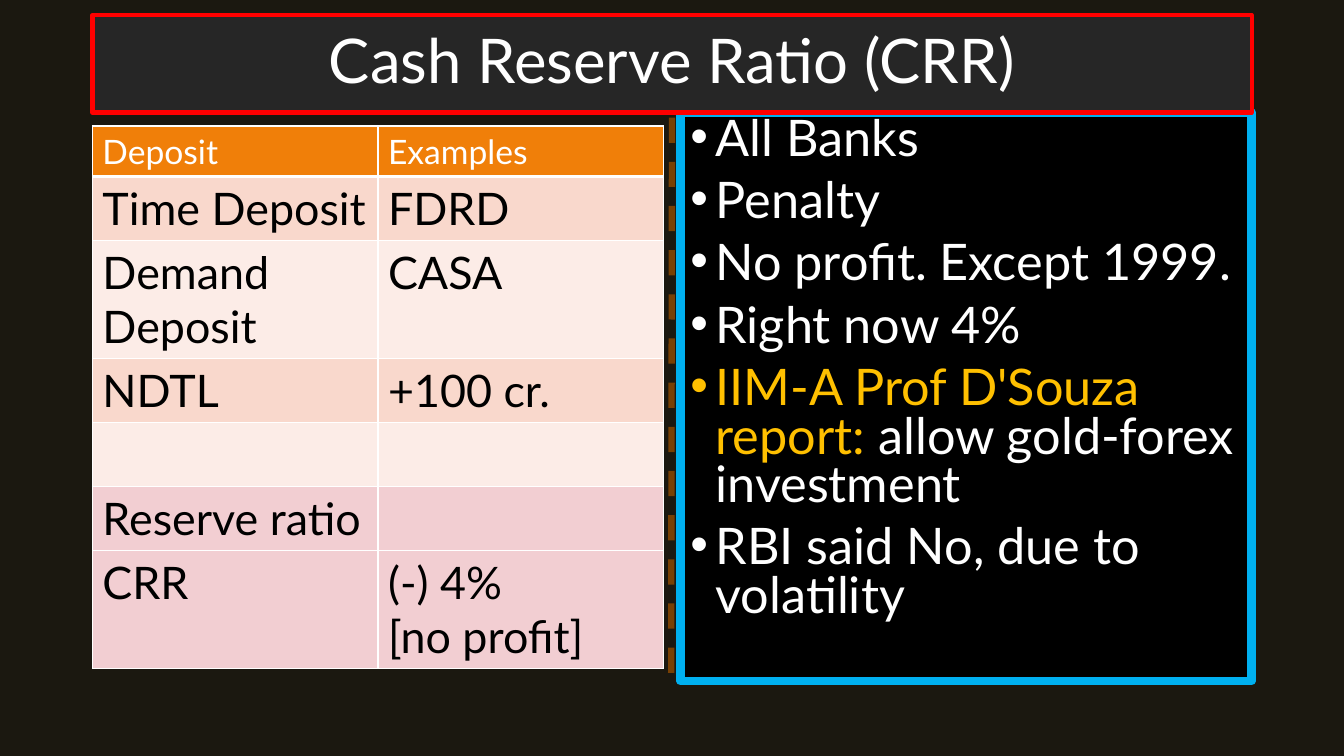
import pptx
import pptx.dml.color
import pptx.enum.dml
import pptx.enum.shapes
import pptx.enum.text
import pptx.oxml
import pptx.oxml.ns
import pptx.util
from lxml import etree

RGB = pptx.dml.color.RGBColor
KIND = pptx.enum.shapes.MSO_SHAPE
ANCHOR = pptx.enum.text.MSO_ANCHOR
qn = pptx.oxml.ns.qn

BACK = RGB(0x1B, 0x18, 0x10)
BROWN = RGB(0x78, 0x40, 0x04)
WHITE = RGB(0xFF, 0xFF, 0xFF)
BLACK = RGB(0x00, 0x00, 0x00)
CYAN = RGB(0x00, 0xB0, 0xF0)
GOLD = RGB(0xFF, 0xC0, 0x00)
RED = RGB(0xFF, 0x00, 0x00)
GREY = RGB(0x26, 0x26, 0x26)
ORANGE = RGB(0xF0, 0x7F, 0x09)
PEACH = RGB(0xF9, 0xD8, 0xCC)
CREAM = RGB(0xFC, 0xEC, 0xE7)
PINK = RGB(0xF2, 0xCE, 0xD2)

FACE = "Lato"
WIDE = pptx.util.Inches(13.33)
HIGH = pptx.util.Inches(7.5)
COLS, ROWS = 160, 90
LEFT, HALF = 11, 34

DATA = [
    (6, ORANGE, "Deposit", "Examples"),
    (7.6, PEACH, "Time Deposit", "FDRD"),
    (14, CREAM, "Demand Deposit", "CASA"),
    (7.6, PEACH, "NDTL", "+100 cr."),
    (7.6, CREAM, "", ""),
    (7.6, PINK, "Reserve ratio", ""),
    (14, PINK, "CRR", "(-) 4%\n[no profit]"),
]
POINTS = [
    [("All Banks", WHITE)],
    [("Penalty", WHITE)],
    [("No profit. Except 1999.", WHITE)],
    [("Right now 4%", WHITE)],
    [("IIM-A Prof D'Souza report: ", GOLD), ("allow gold-forex investment", WHITE)],
    [("RBI said No, due to volatility", WHITE)],
]


def col(num):
    """Turn grid columns into a length."""
    return round(WIDE * num / COLS)


def row(num):
    """Turn grid rows into a length."""
    return round(HIGH * num / ROWS)


def style(run, size, tint):
    """Set the font of a run."""
    run.font.name = FACE
    run.font.size = pptx.util.Pt(size)
    run.font.bold = False
    run.font.color.rgb = tint


def add_box(slide, kind, place, fill, edge, width):
    """Draw a filled box with an edge and return it."""
    x, y, w, h = place
    box = slide.shapes.add_shape(kind, col(x), row(y), col(w), row(h))
    box.shadow.inherit = False
    box.fill.solid()
    box.fill.fore_color.rgb = fill
    box.line.color.rgb = edge
    box.line.width = pptx.util.Pt(width)
    line = box.line._get_or_add_ln()
    etree.SubElement(line, qn("a:round"))
    box.text_frame.word_wrap = True
    return box


def add_rule(slide, start, end):
    """Draw the dashed line between the halves."""
    rule = slide.shapes.add_connector(
        pptx.enum.shapes.MSO_CONNECTOR.STRAIGHT,
        col(start[0]), row(start[1]), col(end[0]), row(end[1]))
    rule.line.color.rgb = BROWN
    rule.line.width = pptx.util.Pt(4.5)
    rule.line.dash_style = pptx.enum.dml.MSO_LINE.DASH
    etree.SubElement(rule._element.spPr, qn("a:effectLst"))


def add_edge(cell, side, width):
    """Give one side of a cell a white line."""
    line = etree.SubElement(cell._tc.get_or_add_tcPr(), qn("a:ln" + side),
                            w=str(pptx.util.Pt(width)))
    fill = etree.SubElement(line, qn("a:solidFill"))
    etree.SubElement(fill, qn("a:srgbClr"), val=str(WHITE))


def fill_cell(cell, text, fill, head):
    """Set the edges, fill and text of a cell."""
    for side in "LRTB":
        add_edge(cell, side, 3 if head and side == "B" else 1)
    cell.fill.solid()
    cell.fill.fore_color.rgb = fill
    cell.text_frame.text = text
    for para in cell.text_frame.paragraphs:
        for run in para.runs:
            style(run, 24 if head else 32, WHITE if head else BLACK)


def add_grid(slide):
    """Build the deposit table."""
    total = sum(item[0] for item in DATA)
    grid = slide.shapes.add_table(len(DATA), 2, col(LEFT), row(15),
                                  col(2 * HALF), row(total)).table
    for part in grid.columns:
        part.width = col(HALF)
    for r, (tall, fill, *texts) in enumerate(DATA):
        grid.rows[r].height = row(tall)
        for c, text in enumerate(texts):
            fill_cell(grid.cell(r, c), text, fill, r == 0)


def add_point(para, parts, first):
    """Write one bullet made of tinted parts."""
    props = para._p.get_or_add_pPr()
    props.set("marL", str(pptx.util.Inches(0.25)))
    props.set("indent", str(pptx.util.Inches(-0.25)))
    font = etree.SubElement(props, qn("a:buFont"))
    font.set("typeface", "Arial")
    etree.SubElement(props, qn("a:buChar"), char="•")
    para.alignment = pptx.enum.text.PP_ALIGN.LEFT
    para.line_spacing = 0.8
    para.space_before = pptx.util.Pt(0 if first else 10)
    for text, tint in parts:
        run = para.add_run()
        run.text = text
        style(run, 36, tint)


def add_points(slide):
    """Build the panel of bullets."""
    box = add_box(slide, KIND.RECTANGLE, (81, 13.4, 68, 67.7), BLACK, CYAN, 6)
    frame = box.text_frame
    frame.vertical_anchor = ANCHOR.TOP
    for num, parts in enumerate(POINTS):
        para = frame.add_paragraph() if num else frame.paragraphs[0]
        add_point(para, parts, num == 0)


def add_title(slide, text):
    """Build the title bar."""
    box = add_box(slide, KIND.ROUNDED_RECTANGLE, (LEFT, 1.8, 138, 11.6), GREY, RED, 3)
    box.adjustments[0] = 0
    box.text_frame.vertical_anchor = ANCHOR.MIDDLE
    para = box.text_frame.paragraphs[0]
    para.text = text
    para.alignment = pptx.enum.text.PP_ALIGN.CENTER
    para.line_spacing = 0.9
    style(para.runs[0], 44, WHITE)


def main():
    """Build and save the slide."""
    deck = pptx.Presentation()
    deck.slide_width, deck.slide_height = WIDE, HIGH
    slide = deck.slides.add_slide(deck.slide_layouts[6])
    slide.background.fill.solid()
    slide.background.fill.fore_color.rgb = BACK
    add_rule(slide, (80, 14), (79.9, 82.3))
    add_grid(slide)
    add_points(slide)
    add_title(slide, "Cash Reserve Ratio (CRR)")
    deck.save("out.pptx")


if __name__ == "__main__":
    main()
